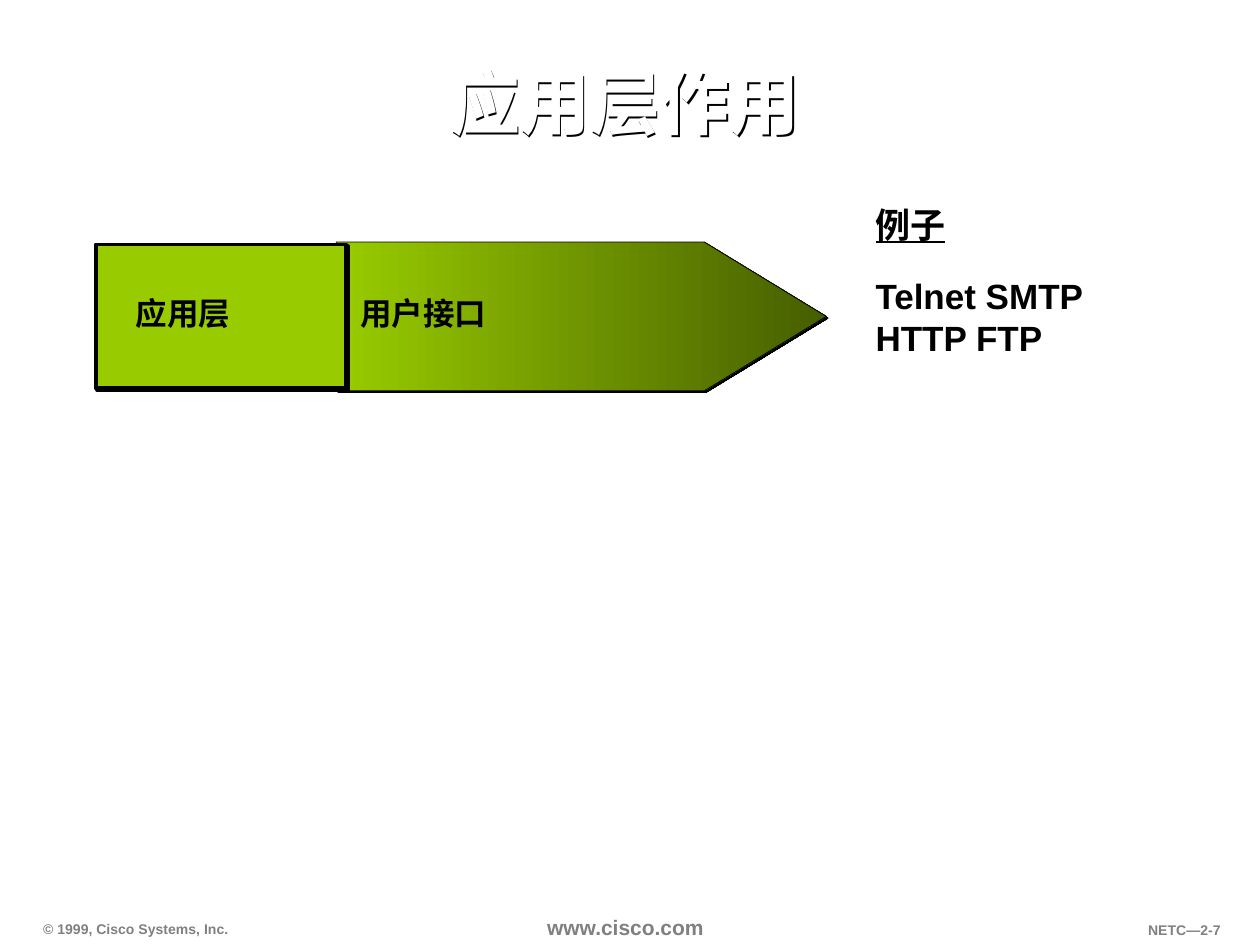
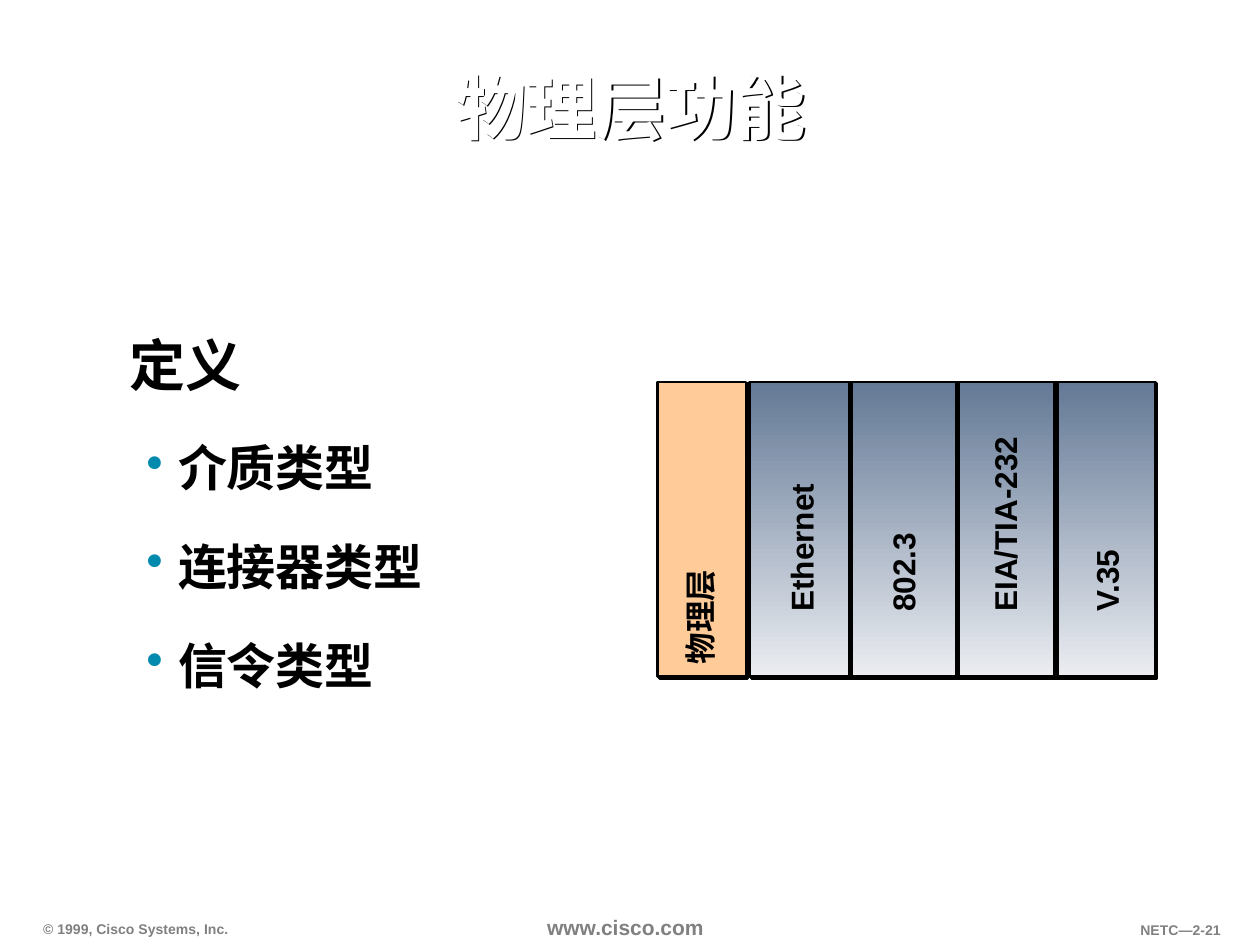
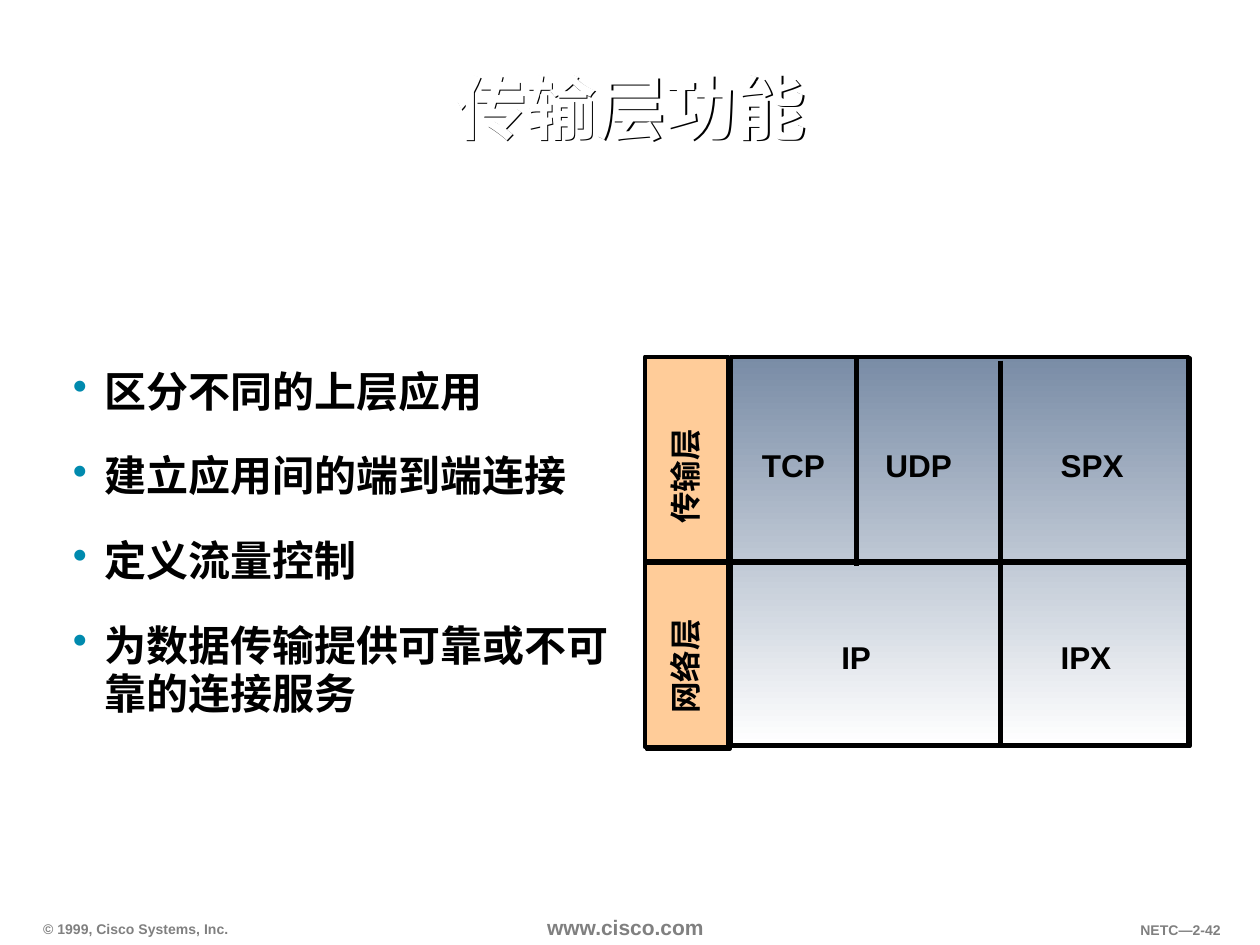
import lxml.etree
import pptx
import pptx.dml.color
import pptx.enum.shapes
import pptx.enum.text
import pptx.oxml.ns
import pptx.util

Cm, Pt = pptx.util.Cm, pptx.util.Pt
ALIGN = pptx.enum.text.PP_ALIGN
ANCHOR = pptx.enum.text.MSO_ANCHOR
RECTANGLE = pptx.enum.shapes.MSO_SHAPE.RECTANGLE
STRAIGHT = pptx.enum.shapes.MSO_CONNECTOR.STRAIGHT

COLORS = {
    "white": "FFFFFF", "black": "000000", "footer": "808080", "bullet": "008AAE",
    "green": "99CC00", "dark green": "465E00", "peach": "FFCC99",
    "steel": "647996", "mist": "EBEDF1", "slate": "798CA6",
}
LATIN, CHINESE = "Arial", "Noto Sans CJK SC"
LABEL_HEIGHT = 1.02


def rgb(name):
    return pptx.dml.color.RGBColor.from_string(COLORS[name])


def child(parent, tag, **attributes):
    return lxml.etree.SubElement(parent, pptx.oxml.ns.qn(tag), attributes)


# Shared helpers
def add_shadow(s):
    s.shadow.inherit = False
    effects = s._element.spPr.find(pptx.oxml.ns.qn("a:effectLst"))
    shadow = child(effects, "a:outerShdw", dist=str(Pt(1.4)), dir="2700000",
                   algn="ctr", rotWithShape="0")
    child(shadow, "a:srgbClr", val=COLORS["black"])


def style_shape(s, fill, line_width, angle=0):
    """Fill with one colour, or with a gradient when given a pair."""
    if isinstance(fill, tuple):
        s.fill.gradient()
        s.fill.gradient_angle = angle
        for stop, name, position in zip(s.fill.gradient_stops, fill, (0, 1)):
            stop.color.rgb = rgb(name)
            stop.position = position
    else:
        s.fill.solid()
        s.fill.fore_color.rgb = rgb(fill)
    s.line.color.rgb = rgb("black")
    s.line.width = Pt(line_width)
    add_shadow(s)


def add_rect(slide, x, y, w, h, fill, line_width, angle=0):
    s = slide.shapes.add_shape(RECTANGLE, Cm(x), Cm(y), Cm(w), Cm(h))
    style_shape(s, fill, line_width, angle)


def add_line(slide, x1, y1, x2, y2):
    s = slide.shapes.add_connector(STRAIGHT, Cm(x1), Cm(y1), Cm(x2), Cm(y2))
    s.line.color.rgb = rgb("black")
    s.line.width = Pt(3)
    child(s._element.spPr, "a:effectLst")


def format_runs(p, size, color="black", font=LATIN, underline=False):
    for r in p.runs:
        r.font.size = Pt(size)
        r.font.bold = True
        r.font.name = font
        r.font.color.rgb = rgb(color)
        if underline:
            r.font.underline = True
        child(r._r.get_or_add_rPr(), "a:ea", typeface=font)


def add_text(slide, x, y, w, h, text, size=18, color="black", font=LATIN,
             align=ALIGN.LEFT, anchor=ANCHOR.TOP, inset=(0.25, 0.13), underline=False):
    s = slide.shapes.add_textbox(Cm(x), Cm(y), Cm(w), Cm(h))
    tf = s.text_frame
    tf.word_wrap = True
    tf.vertical_anchor = anchor
    tf.margin_left = tf.margin_right = Cm(inset[0])
    tf.margin_top = tf.margin_bottom = Cm(inset[1])
    tf.text = text
    for p in tf.paragraphs:
        p.alignment = align
        format_runs(p, size, color, font, underline)
    return s


def add_upward_text(slide, center_x, bottom, length, text):
    """Text that reads upwards from the given bottom edge."""
    middle = bottom - length / 2
    s = add_text(slide, center_x - length / 2, middle - LABEL_HEIGHT / 2,
                 length, LABEL_HEIGHT, text)
    s.rotation = 270


def set_bullet(p, indent):
    pPr = p._p.get_or_add_pPr()
    pPr.set("marL", str(Cm(indent)))
    pPr.set("indent", str(-Cm(0.64)))
    child(child(pPr, "a:buClr"), "a:srgbClr", val=COLORS["bullet"])
    child(pPr, "a:buChar", char="•")


# Regions found on every slide
def add_footer(slide, page):
    small = dict(color="footer", inset=(0.23, 0.1))
    add_text(slide, 0.64, 18.44, 5, 0.56, "© 1999, Cisco Systems, Inc.", 8,
             anchor=ANCHOR.BOTTOM, **small)
    add_text(slide, 10.8, 18.34, 3.81, 0.71, "www.cisco.com", 12, **small)
    add_text(slide, 21.79, 18.47, 3.05, 0.56, "NETC—2-" + page, 8,
             align=ALIGN.RIGHT, **small)


def add_title(slide, text, box=(2.13, 0.66, 21.18, 3.18), font=CHINESE):
    s = add_text(slide, *box, text, 40, "white", font, ALIGN.CENTER, ANCHOR.MIDDLE)
    s.text_frame.paragraphs[0].line_spacing = 0.9
    add_shadow(s)


def add_bullets(slide, box, bullets, size, gap, indent, heading=None,
                anchor=ANCHOR.MIDDLE):
    lines = ([heading] if heading else []) + bullets
    s = add_text(slide, *box, "\n".join(lines), size, anchor=anchor, inset=(0, 0))
    for i, p in enumerate(s.text_frame.paragraphs):
        if heading and i == 0:
            p.runs[0].font.size = Pt(32)
        else:
            set_bullet(p, indent)
        p.line_spacing = 0.95
        if i:
            p.space_before = Pt(gap)


# Diagrams
def add_layer_arrow(slide, x, y, w, h, layer, role):
    start, neck = x + 4.85, x + 12.27
    outline = [(start, y), (neck, y), (x + w, y + h / 2), (neck, y + h), (start, y + h)]
    points = [(Cm(px), Cm(py)) for px, py in outline]
    builder = slide.shapes.build_freeform(*points[0])
    builder.add_line_segments(points[1:], close=True)
    style_shape(builder.convert_to_shape(), ("green", "dark green"), 0.5)
    text_y = y + 0.91
    add_text(slide, x + 5.08, text_y, 8.92, LABEL_HEIGHT, role, anchor=ANCHOR.MIDDLE)
    add_rect(slide, x, y + 0.05, 5.05, 2.9, "green", 2.25)
    add_text(slide, x + 0.56, text_y, 4, LABEL_HEIGHT, layer)


def add_examples(slide, x, y, w, heading, protocols):
    add_text(slide, x, y, w, 1.12, heading, 20, anchor=ANCHOR.MIDDLE, underline=True)
    add_text(slide, x, y + 1.45, w, 1.96, protocols, 20, anchor=ANCHOR.MIDDLE)


def add_physical_stack(slide, x, y, w, h, layer, standards):
    add_rect(slide, x, y, 1.78, h, "peach", 1.5)
    add_rect(slide, x + 1.85, y, w - 1.85, h, ("steel", "mist"), 1.5, 270)
    add_upward_text(slide, x + 0.85, y + h, h, layer)
    for i, standard in enumerate(standards):
        add_upward_text(slide, x + 2.89 + 2.05 * i, y + 4.88, 4.88, standard)
    for dx in (3.89, 6.04, 8.03):
        add_line(slide, x + dx, y, x + dx, y + h)


def add_transport_grid(slide, x, y, w, h):
    add_rect(slide, x + 1.73, y, w - 1.73, h, ("slate", "white"), 2.25, 270)
    add_rect(slide, x, y, 1.68, h + 0.05, "peach", 2.25)
    for layer, bottom in (("传输层", 3.62), ("网络层", 7.45)):
        add_upward_text(slide, x + 0.8, y + bottom, 3, layer)
    rows = {1.67: (("TCP", 2.11), ("UDP", 4.6), ("SPX", 8.13)),
            5.54: (("IP", 3.71), ("IPX", 8.13))}
    for dy, cells in rows.items():
        for protocol, dx in cells:
            add_text(slide, x + dx, y + dy, 2.3, LABEL_HEIGHT, protocol)
    add_line(slide, x + 7.17, y + 0.08, x + 7.17, y + h)
    add_line(slide, x + 4.27, y + 0.05, x + 4.27, y + 4.22)
    add_line(slide, x + 0.03, y + 4.14, x + w + 0.08, y + 4.14)


# Slides
def application_slide(slide):
    add_footer(slide, "7")
    add_title(slide, "应用层作用", (2.01, 1.04, 21.18, 2.24), LATIN)
    add_layer_arrow(slide, 1.93, 4.88, 14.73, 3, "应用层", "用户接口")
    add_examples(slide, 17.4, 3.96, 5, "例子", "Telnet SMTP\nHTTP FTP")


def physical_slide(slide):
    add_footer(slide, "21")
    add_title(slide, "物理层功能")
    add_bullets(slide, (2.62, 6.76, 9.53, 7.26), ["介质类型", "连接器类型", "信令类型"],
                28, 24.5, 0.97, heading="定义")
    add_physical_stack(slide, 13.26, 7.7, 10.03, 5.94, "物理层",
                       ["Ethernet", "802.3", "EIA/TIA-232", "V.35"])


def transport_slide(slide):
    add_footer(slide, "42")
    add_title(slide, "传输层功能")
    add_bullets(slide, (1.47, 7.44, 11.23, 7.5),
                ["区分不同的上层应用", "建立应用间的端到端连接", "定义流量控制",
                 "为数据传输提供可靠或不可靠的连接服务"],
                24, 21, 0.64, anchor=ANCHOR.TOP)
    add_transport_grid(slide, 13, 7.19, 10.95, 7.82)


def main():
    prs = pptx.Presentation()
    prs.slide_width, prs.slide_height = Cm(25.4), Cm(19.05)
    for build in (application_slide, physical_slide, transport_slide):
        build(prs.slides.add_slide(prs.slide_layouts[6]))
    prs.save("out.pptx")


if __name__ == "__main__":
    main()
